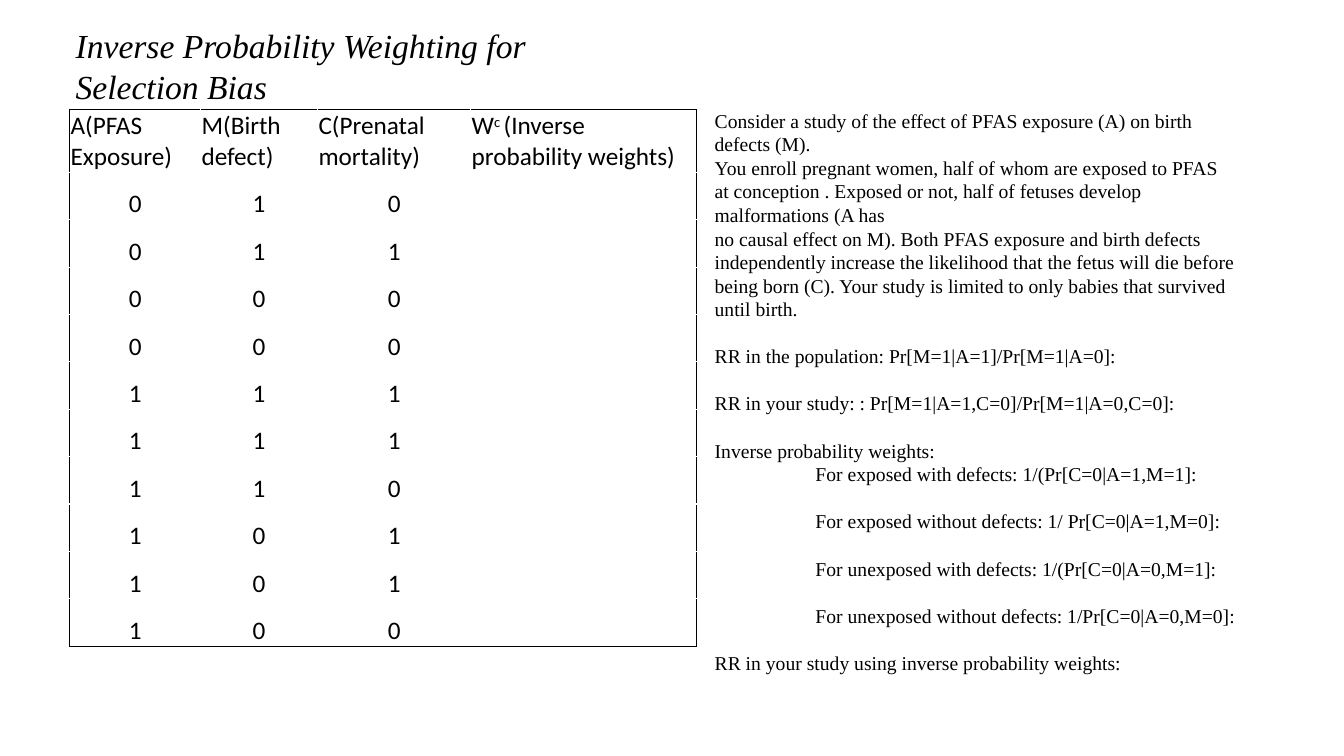
from lxml.etree import SubElement
from pptx import Presentation
from pptx.dml.color import RGBColor
from pptx.enum.text import MSO_ANCHOR, MSO_AUTO_SIZE, PP_ALIGN
from pptx.oxml.ns import qn
from pptx.util import Inches, Pt

WIDE, HIGH = Inches(13.33), Inches(7.5)
HUES = {"ink": "000000"}
SERIF = {"name": "Times New Roman", "size": Pt(14)}
TITLE = {"name": "Times New Roman", "size": Pt(24), "italic": True}
SANS = {"name": "Calibri", "size": Pt(18), "bold": False}
INSET = {"margin_left": Inches(0.01), "margin_right": Inches(0.01),
         "margin_top": Inches(0.01), "margin_bottom": 0,
         "vertical_anchor": MSO_ANCHOR.BOTTOM}
GAP = Pt(16.9)

HEADS = [
    [("A(PFAS Exposure)", 0)],
    [("M(Birth defect)", 0)],
    [("C(Prenatal mortality)", 0)],
    [("W", 0), ("c ", 30), ("(Inverse probability weights)", 0)],
]
COHORT = ["010", "011", "000", "000", "111", "111", "110", "101", "101", "100"]
COLS = [9.75, 8.7, 11.4, 16.8]
HEAD, ROW = 8.27, 6.27

# Each entry: text, gap above, indent level
NOTES = [
    ("Consider a study of the effect of PFAS exposure (A) on birth defects (M).", 0, 0),
    ("You enroll pregnant women, half of whom are exposed to PFAS", 0, 0),
    ("at conception . Exposed or not, half of fetuses develop malformations (A has", 0, 0),
    ("no causal effect on M). Both PFAS exposure and birth defects independently "
     "increase the likelihood that the fetus will die before being born (C). Your "
     "study is limited to only babies that survived until birth.", 0, 0),
    ("RR in the population: Pr[M=1|A=1]/Pr[M=1|A=0]:", 1, 0),
    ("RR in your study: : Pr[M=1|A=1,C=0]/Pr[M=1|A=0,C=0]:", 1, 0),
    ("Inverse probability weights:", 1, 0),
    ("For exposed with defects: 1/(Pr[C=0|A=1,M=1]:", 0, 1),
    ("For exposed without defects: 1/ Pr[C=0|A=1,M=0]:", 1, 1),
    ("For unexposed with defects: 1/(Pr[C=0|A=0,M=1]:", 1, 1),
    ("For unexposed without defects: 1/Pr[C=0|A=0,M=0]:", 1, 1),
    ("RR in your study using inverse probability weights:", 1, 0),
]


def across(share):
    """Percent of the slide's width."""
    return round(WIDE * share / 100)


def down(share):
    """Percent of the slide's height."""
    return round(HIGH * share / 100)


def area(left, top, width, height):
    return across(left), down(top), across(width), down(height)


def apply(item, style):
    for key, value in style.items():
        setattr(item, key, value)


def write(para, text, style, rise=0):
    """Add a run; rise is the superscript offset in percent."""
    run = para.add_run()
    run.text = text
    apply(run.font, style)
    run.font.color.rgb = RGBColor.from_string(HUES["ink"])
    if rise:
        run._r.get_or_add_rPr().set("baseline", str(rise * 1000))


def edge(cell, sides):
    """Draw one-point lines on the sides, given in the order L, R, T, B."""
    props = cell._tc.get_or_add_tcPr()
    for side in sides:
        line = SubElement(props, qn(f"a:ln{side}"), w=str(Pt(1)))
        fill = SubElement(line, qn("a:solidFill"))
        SubElement(fill, qn("a:srgbClr"), val=HUES["ink"])


def add_title(slide):
    title = slide.shapes.title
    title.left, title.top, title.width, title.height = area(4.88, 2.67, 41.86, 6.67)
    frame = title.text_frame
    apply(frame, {"word_wrap": True, "vertical_anchor": MSO_ANCHOR.TOP,
                  "auto_size": MSO_AUTO_SIZE.SHAPE_TO_FIT_TEXT})
    para = frame.paragraphs[0]
    apply(para, {"alignment": PP_ALIGN.LEFT, "line_spacing": 1.0, "space_before": 0})
    write(para, "Inverse Probability Weighting for Selection Bias", TITLE)


def add_cohort(slide):
    count = len(COHORT) + 1
    box = area(5.18, 14.53, sum(COLS), HEAD + ROW * len(COHORT))
    table = slide.shapes.add_table(count, len(COLS), *box).table
    apply(table, {"first_row": False, "horz_banding": False})
    for col, share in zip(table.columns, COLS):
        col.width = across(share)
    for i, row in enumerate(table.rows):
        row.height = down(ROW if i else HEAD)
        for j, cell in enumerate(row.cells):
            on = {"L": j == 0, "R": j == len(COLS) - 1,
                  "T": i == 0, "B": i == count - 1}
            edge(cell, [side for side in on if on[side]])
            cell.fill.background()
            apply(cell, INSET)
            para = cell.text_frame.paragraphs[0]
            if i == 0:
                for text, rise in HEADS[j]:
                    write(para, text, SANS, rise)
            elif j < len(COHORT[i - 1]):
                para.alignment = PP_ALIGN.CENTER
                write(para, COHORT[i - 1][j], SANS)


def add_notes(slide):
    frame = slide.shapes.add_textbox(*area(52.44, 13.73, 40.44, 76.8)).text_frame
    apply(frame, {"word_wrap": True, "auto_size": MSO_AUTO_SIZE.SHAPE_TO_FIT_TEXT})
    for i, (text, gap, level) in enumerate(NOTES):
        para = frame.add_paragraph() if i else frame.paragraphs[0]
        if gap:
            para.space_before = GAP
        if level:
            para._p.get_or_add_pPr().set("marL", str(Inches(level)))
        write(para, text, SERIF)


def main():
    deck = Presentation()
    deck.slide_width, deck.slide_height = WIDE, HIGH
    slide = deck.slides.add_slide(deck.slide_layouts[5])
    add_cohort(slide)
    add_title(slide)
    add_notes(slide)
    deck.save("out.pptx")


if __name__ == "__main__":
    main()
